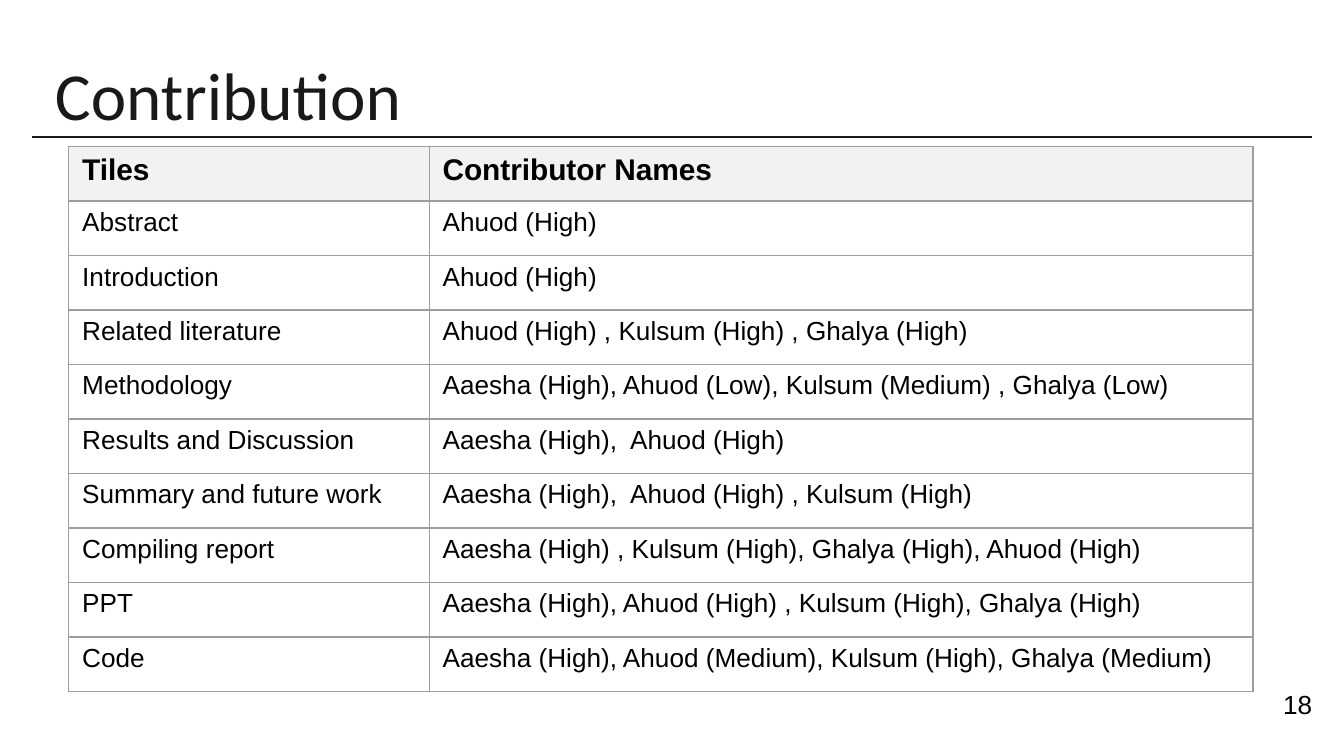
from lxml.etree import SubElement
from pptx import Presentation
from pptx.dml.color import RGBColor
from pptx.enum.shapes import MSO_CONNECTOR
from pptx.enum.text import MSO_ANCHOR
from pptx.oxml.ns import qn
from pptx.util import Cm, Pt

COLORS = {"title": "191919", "text": "000000", "header": "F2F2F2", "border": "9E9E9E"}
ROWS = [
    ("Tiles", "Contributor Names"),
    ("Abstract", "Ahuod (High)"),
    ("Introduction", "Ahuod (High)"),
    ("Related literature", "Ahuod (High) , Kulsum (High) , Ghalya (High)"),
    ("Methodology", "Aaesha (High), Ahuod (Low), Kulsum (Medium) , Ghalya (Low)"),
    ("Results and Discussion", "Aaesha (High),  Ahuod (High)"),
    ("Summary and future work", "Aaesha (High),  Ahuod (High) , Kulsum (High)"),
    ("Compiling report", "Aaesha (High) , Kulsum (High), Ghalya (High), Ahuod (High)"),
    ("PPT", "Aaesha (High), Ahuod (High) , Kulsum (High), Ghalya (High)"),
    ("Code", "Aaesha (High), Ahuod (Medium), Kulsum (High), Ghalya (Medium)"),
]
COLUMN_WIDTHS = (Cm(6.81), Cm(15.57))
ROW_HEIGHT = Cm(1.03)


def set_text(tf, text, size, color="text", font="Arial", bold=False):
    tf.text = text
    r = tf.paragraphs[0].runs[0]
    r.font.name, r.font.size, r.font.bold = font, Pt(size), bold
    r.font.color.rgb = RGBColor.from_string(COLORS[color])


def add_text(s, text, box, size, **style):
    sp = s.shapes.add_textbox(*box)
    tf = sp.text_frame
    tf.word_wrap = True
    set_text(tf, text, size, **style)
    return tf


def add_rule(s, x1, x2, y):
    line = s.shapes.add_connector(MSO_CONNECTOR.STRAIGHT, x1, y, x2, y)
    line.line.color.rgb = RGBColor.from_string(COLORS["title"])
    line.line.width = Pt(0.75)
    SubElement(line._element.spPr, qn("a:effectLst"))


def set_borders(cell):
    props = cell._tc.get_or_add_tcPr()
    for i, side in enumerate(("lnL", "lnR", "lnT", "lnB")):
        ln = props.makeelement(qn(f"a:{side}"), {"w": str(Pt(0.75))})
        fill = SubElement(ln, qn("a:solidFill"))
        SubElement(fill, qn("a:srgbClr"), val=COLORS["border"])
        props.insert(i, ln)


def add_contributions(s, left, top):
    frame = s.shapes.add_table(len(ROWS), len(COLUMN_WIDTHS), left, top,
                               sum(COLUMN_WIDTHS), ROW_HEIGHT * len(ROWS))
    table = frame.table
    table.horz_banding = False
    for column, width in zip(table.columns, COLUMN_WIDTHS):
        column.width = width
    for i, (row, texts) in enumerate(zip(table.rows, ROWS)):
        row.height = ROW_HEIGHT
        header = i == 0
        for cell, text in zip(row.cells, texts):
            set_text(cell.text_frame, text, 16 if header else 14, bold=header)
            if header:
                cell.fill.solid()
                cell.fill.fore_color.rgb = RGBColor.from_string(COLORS["header"])
            else:
                cell.fill.background()
            set_borders(cell)


def main():
    """Build the contribution slide."""
    prs = Presentation()
    prs.slide_width, prs.slide_height = Cm(25.4), Cm(14.29)
    s = prs.slides.add_slide(prs.slide_layouts[6])
    add_rule(s, Cm(0.61), Cm(24.79), Cm(2.59))
    add_text(s, "18", (Cm(24), Cm(12.88), Cm(1.78), Cm(0.94)), 14)
    tf = add_text(s, "Contribution", (Cm(0.79), Cm(0.69), Cm(21.39), Cm(1.9)), 36,
                  color="title", font="Calibri")
    tf.vertical_anchor = MSO_ANCHOR.BOTTOM
    tf.margin_bottom = Cm(0.05)
    add_contributions(s, Cm(1.3), Cm(2.77))
    prs.save("out.pptx")


if __name__ == "__main__":
    main()
